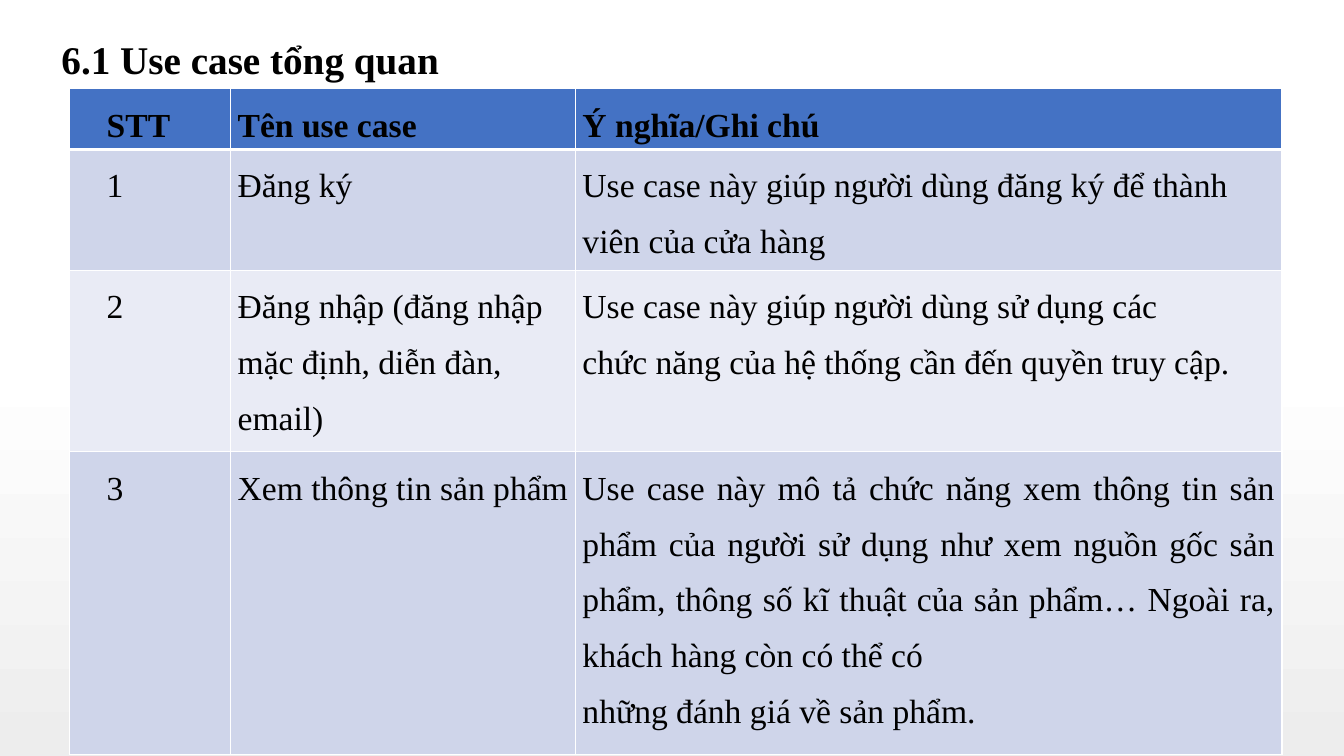
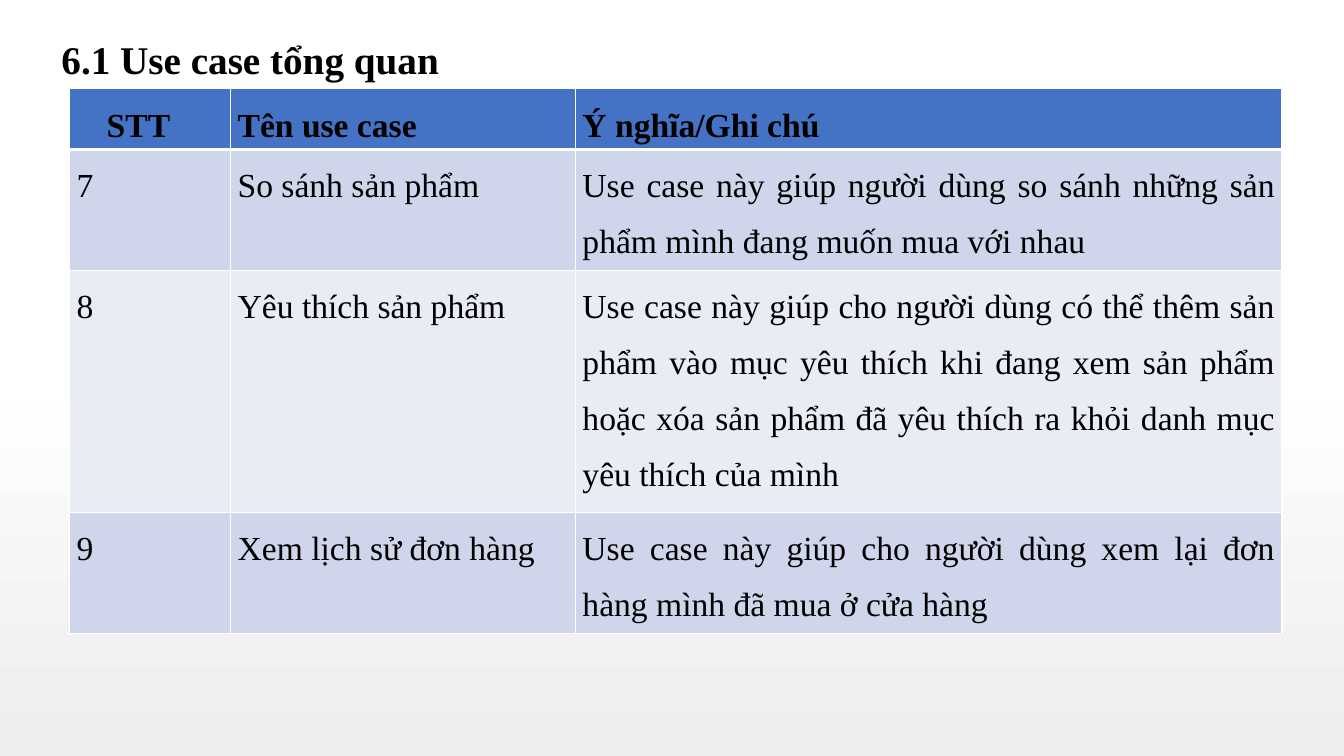
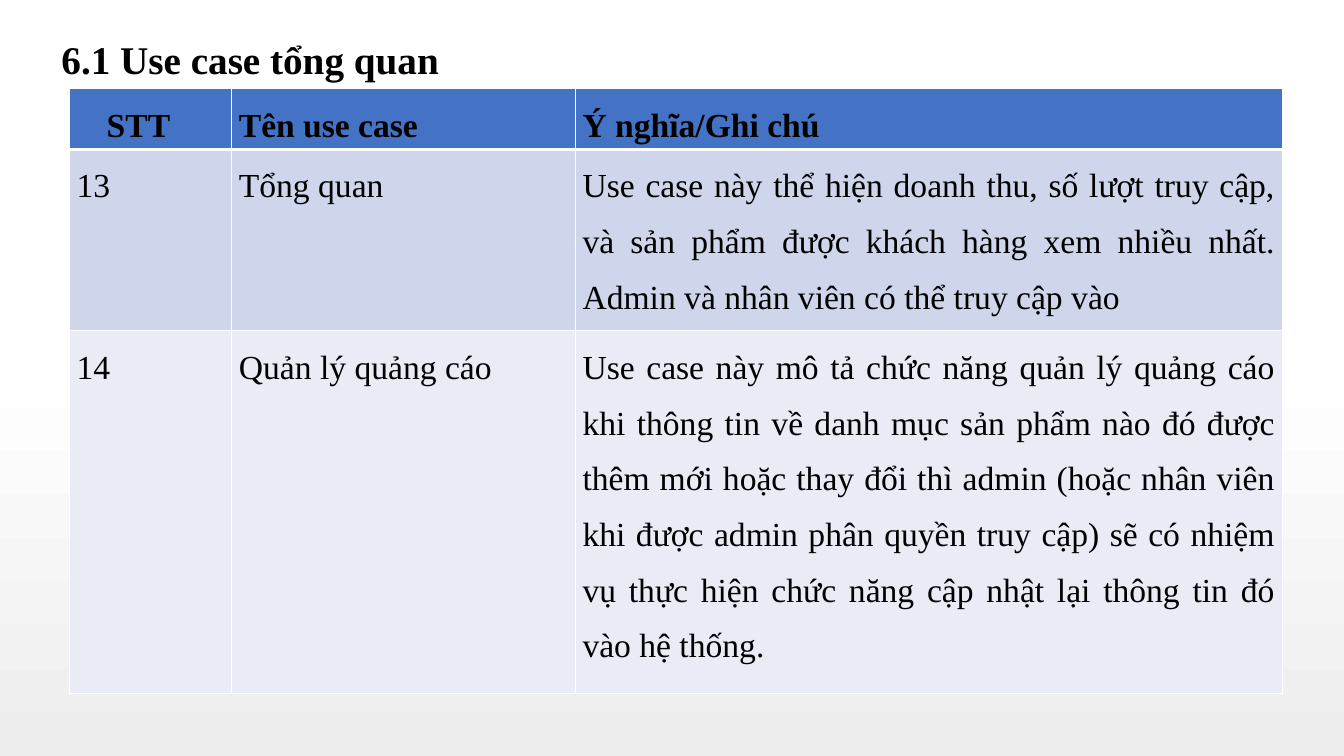
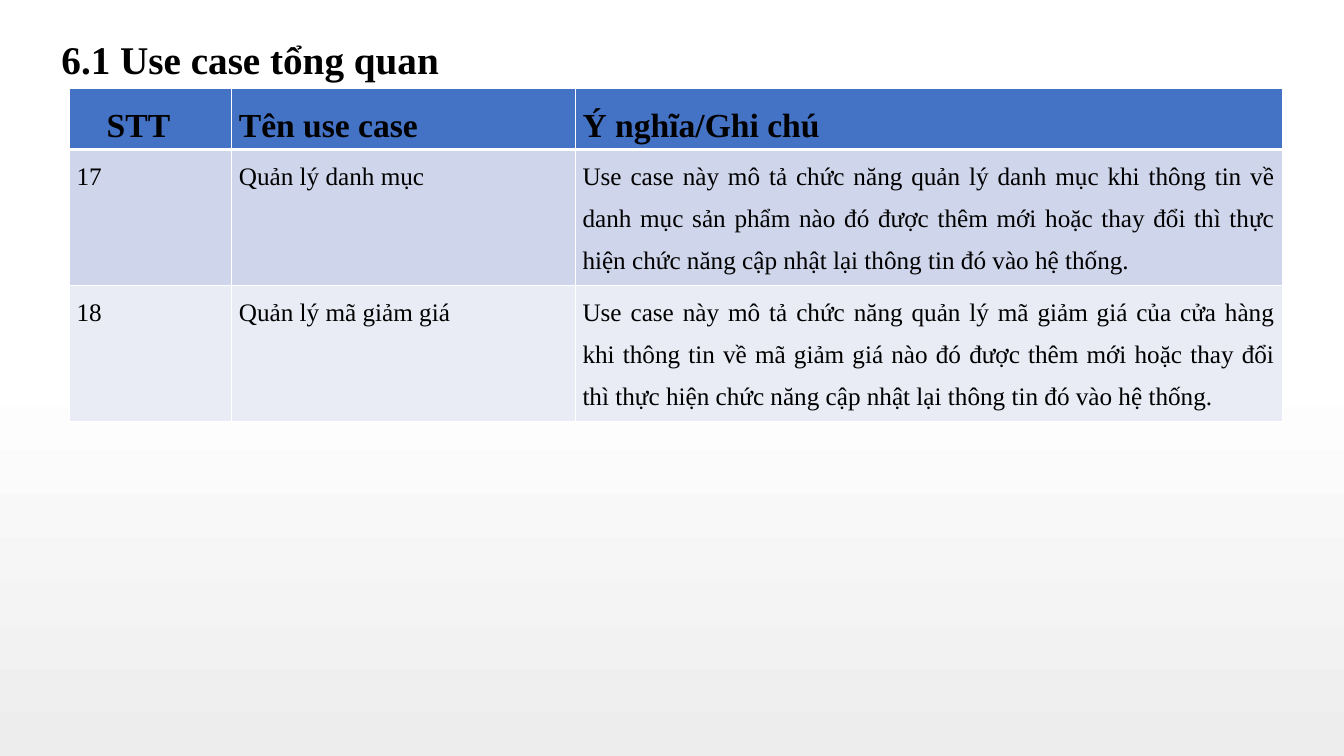
from lxml import etree
from pptx import Presentation
from pptx.dml.color import RGBColor
from pptx.enum import text as t
from pptx.oxml import ns
from pptx.util import Cm, Pt

FONT = "Times New Roman"
BLACK, WHITE, GREY = "000000", "FFFFFF", "EDEDED"
HEADER_FILL = "4472C4"
BAND_FILLS = ["CFD5EA", "E9EBF5"]
TITLE = "6.1 Use case tổng quan"
HEADINGS = ["STT", "Tên use case", "Ý nghĩa/Ghi chú"]
TABLE_WIDTH, MEANING_WIDTH = 30.56, 17.81
LINE_HEIGHTS = {24: 1.52, 18: 1.14}
INDENT, WIDE_INDENT = 0.18, 0.94
LEFT, JUSTIFY = t.PP_ALIGN.LEFT, t.PP_ALIGN.JUSTIFY

USE_CASES = [
    dict(number_width=4.06, number_indent=WIDE_INDENT, rows=[
        (2, "1", "Đăng ký", LEFT,
         ["Use case này giúp người dùng đăng ký để thành viên của cửa hàng"]),
        (3, "2", "Đăng nhập (đăng nhập mặc định, diễn đàn, email)", LEFT,
         ["Use case này giúp người dùng sử dụng các",
          "chức năng của hệ thống cần đến quyền truy cập."]),
        (5, "3", "Xem thông tin sản phẩm", JUSTIFY,
         ["Use case này mô tả chức năng xem thông tin sản phẩm của người sử dụng "
          "như xem nguồn gốc sản phẩm, thông số kĩ thuật của sản phẩm… Ngoài ra, "
          "khách hàng còn có thể có",
          "những đánh giá về sản phẩm."]),
    ]),
    dict(number_width=4.06, rows=[
        (2, "7", "So sánh sản phẩm", JUSTIFY,
         ["Use case này giúp người dùng so sánh những sản phẩm mình đang muốn mua "
          "với nhau"]),
        (4, "8", "Yêu thích sản phẩm", JUSTIFY,
         ["Use case này giúp cho người dùng có thể thêm sản phẩm vào mục yêu thích "
          "khi đang xem sản phẩm hoặc xóa sản phẩm đã yêu thích ra khỏi danh mục "
          "yêu thích của mình"]),
        (2, "9", "Xem lịch sử đơn hàng", JUSTIFY,
         ["Use case này giúp cho người dùng xem lại đơn hàng mình đã mua ở cửa hàng"]),
    ]),
    dict(number_width=4.09, rows=[
        (3, "13", "Tổng quan", JUSTIFY,
         ["Use case này thể hiện doanh thu, số lượt truy cập, và sản phẩm được khách "
          "hàng xem nhiều nhất. Admin và nhân viên có thể truy cập vào"]),
        (6, "14", "Quản lý quảng cáo", JUSTIFY,
         ["Use case này mô tả chức năng quản lý quảng cáo khi thông tin về danh mục "
          "sản phẩm nào đó được thêm mới hoặc thay đổi thì admin (hoặc nhân viên khi "
          "được admin phân quyền truy cập) sẽ có nhiệm vụ thực hiện chức năng cập "
          "nhật lại thông tin đó vào hệ thống."]),
    ]),
    dict(number_width=4.09, size=18, rows=[
        (3, "17", "Quản lý danh mục", JUSTIFY,
         ["Use case này mô tả chức năng quản lý danh mục khi thông tin về danh mục "
          "sản phẩm nào đó được thêm mới hoặc thay đổi thì thực hiện chức năng cập "
          "nhật lại thông tin đó vào hệ thống."]),
        (3, "18", "Quản lý mã giảm giá", JUSTIFY,
         ["Use case này mô tả chức năng quản lý mã giảm giá của cửa hàng khi thông "
          "tin về mã giảm giá nào đó được thêm mới hoặc thay đổi thì thực hiện chức "
          "năng cập nhật lại thông tin đó vào hệ thống."]),
    ]),
]


def color(hex_code):
    return RGBColor.from_string(hex_code)


def write(frame, lines, size=24, bold=False, align=LEFT, spacing=1.0):
    for i, line in enumerate(lines):
        paragraph = frame.add_paragraph() if i else frame.paragraphs[0]
        paragraph.alignment = align
        paragraph.line_spacing = spacing
        run = paragraph.add_run()
        run.text = line
        run.font.name = FONT
        run.font.size = Pt(size)
        run.font.bold = bold
        run.font.color.rgb = color(BLACK)


def set_background(master):
    fill = master.background.fill
    fill.gradient()
    fill.gradient_angle = 270
    for stop, position, shade in zip(fill.gradient_stops, (0.48, 1), (WHITE, GREY)):
        stop.position = position
        stop.color.rgb = color(shade)


def set_borders(cell, top=1, bottom=1):
    properties = cell._tc.get_or_add_tcPr()
    for side, width in (("L", 1), ("R", 1), ("T", top), ("B", bottom)):
        line = etree.SubElement(properties, ns.qn(f"a:ln{side}"), w=str(Pt(width)))
        fill = etree.SubElement(line, ns.qn("a:solidFill"))
        etree.SubElement(fill, ns.qn("a:srgbClr"), val=WHITE)


def fill_cell(cell, lines, fill, indent=INDENT, top=1, bottom=1, **style):
    cell.margin_left = Cm(indent)
    cell.margin_right = Cm(0.1)
    cell.margin_top = cell.margin_bottom = 0
    set_borders(cell, top, bottom)
    cell.fill.solid()
    cell.fill.fore_color.rgb = color(fill)
    write(cell.text_frame, lines, spacing=1.5, **style)


def add_title(slide):
    box = slide.shapes.add_textbox(Cm(1.3), Cm(0.76), Cm(24.74), Cm(1.45))
    box.text_frame.word_wrap = True
    box.text_frame.auto_size = t.MSO_AUTO_SIZE.SHAPE_TO_FIT_TEXT
    write(box.text_frame, [TITLE], size=28, bold=True)


def add_use_cases(slide, rows, number_width, number_indent=INDENT, size=24):
    heights = [LINE_HEIGHTS[24]] + [row[0] * LINE_HEIGHTS[size] for row in rows]
    widths = [number_width, TABLE_WIDTH - number_width - MEANING_WIDTH, MEANING_WIDTH]
    table = slide.shapes.add_table(
        len(heights), len(widths), Cm(1.75), Cm(2.24),
        Cm(TABLE_WIDTH), Cm(sum(heights))).table
    for column, width in zip(table.columns, widths):
        column.width = Cm(width)
    for row, height in zip(table.rows, heights):
        row.height = Cm(height)

    for j, heading in enumerate(HEADINGS):
        fill_cell(table.cell(0, j), [heading], HEADER_FILL, bottom=3, bold=True,
                  indent=INDENT if j else WIDE_INDENT)
    for i, (_, number, name, align, meaning) in enumerate(rows, 1):
        shared = dict(fill=BAND_FILLS[(i - 1) % 2], top=3 if i == 1 else 1, size=size)
        fill_cell(table.cell(i, 0), [number], indent=number_indent, **shared)
        fill_cell(table.cell(i, 1), [name], **shared)
        fill_cell(table.cell(i, 2), meaning, align=align, **shared)
        table.cell(i, 2).margin_right = Cm(INDENT)


def main():
    prs = Presentation()
    prs.slide_width, prs.slide_height = Cm(33.87), Cm(19.05)
    set_background(prs.slide_master)
    for content in USE_CASES:
        slide = prs.slides.add_slide(prs.slide_layouts[6])
        add_title(slide)
        add_use_cases(slide, **content)
    prs.save("out.pptx")


if __name__ == "__main__":
    main()
